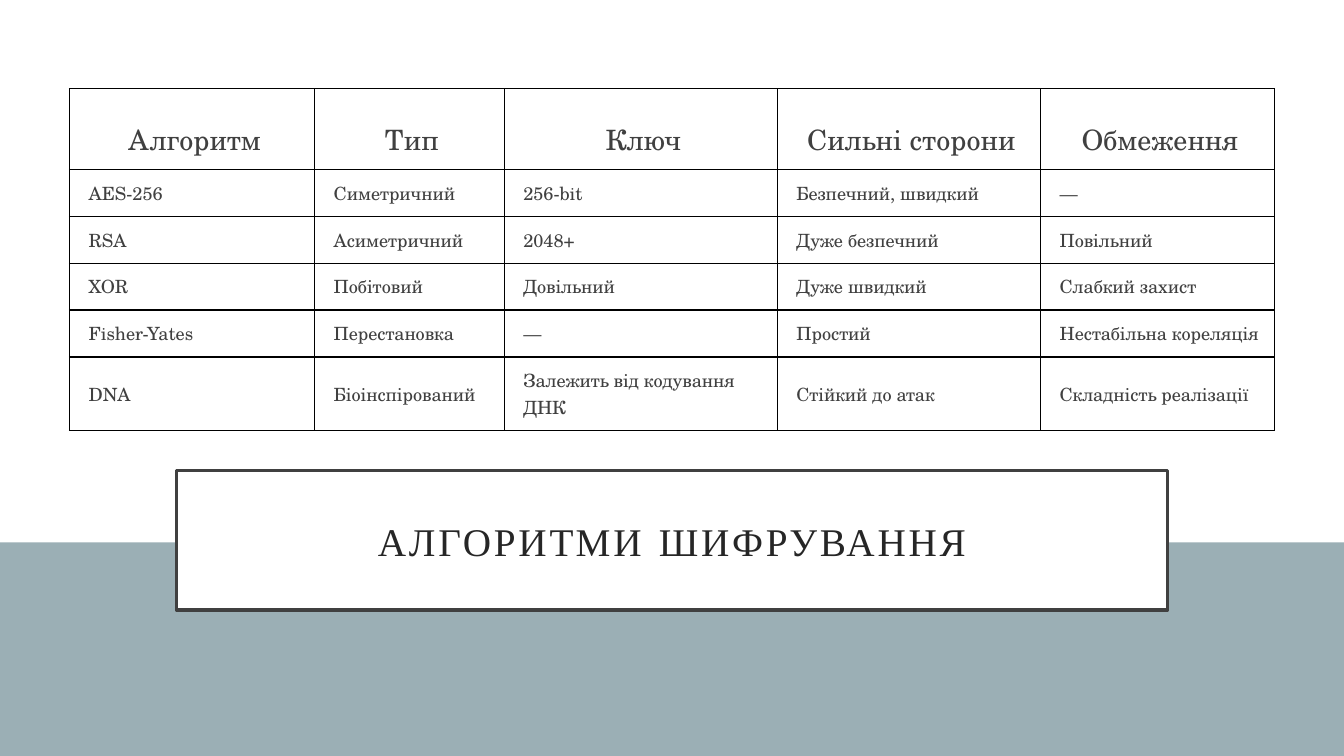
from dataclasses import dataclass

from lxml import etree
from pptx import Presentation
from pptx.dml.color import RGBColor
from pptx.enum.shapes import MSO_SHAPE
from pptx.enum.text import MSO_ANCHOR, PP_ALIGN
from pptx.oxml.ns import qn
from pptx.util import Inches, Pt

RECTANGLE = MSO_SHAPE.RECTANGLE
MIDDLE, BOTTOM = MSO_ANCHOR.MIDDLE, MSO_ANCHOR.BOTTOM
LEFT, CENTER, JUSTIFY = PP_ALIGN.LEFT, PP_ALIGN.CENTER, PP_ALIGN.JUSTIFY
TITLE_ONLY = 5


@dataclass(frozen=True)
class Theme:
    """Colours, fonts and sizes of the slide."""
    white: str = "FFFFFF"
    band: str = "9BAFB5"
    frame: str = "404040"
    title: str = "262626"
    text: str = "404040"
    border: str = "000000"
    title_font: str = "Times New Roman"
    space_font: str = "Calibri"
    table_font: str = "TeX Gyre Schola"
    title_size: int = 28
    space_size: int = 36
    header_size: int = 20
    body_size: int = 13
    title_spacing: int = 2
    frame_width: float = 2.5
    border_width: int = 1


THEME = Theme()
COLUMN_WIDTHS = (2.43, 1.88, 2.71, 2.61, 2.32)
ROW_HEIGHTS = (0.8, 0.45, 0.45, 0.45, 0.45, 0.66)
ALGORITHMS = (
    ("Алгоритм", "Тип", "Ключ", "Сильні сторони", "Обмеження"),
    ("AES-256", "Симетричний", "256-bit", "Безпечний, швидкий", "—"),
    ("RSA", "Асиметричний", "2048+", "Дуже безпечний", "Повільний"),
    ("XOR", "Побітовий", "Довільний", "Дуже швидкий", "Слабкий захист"),
    ("Fisher-Yates", "Перестановка", "—", "Простий", "Нестабільна кореляція"),
    ("DNA", "Біоінспірований", "Залежить від кодування ДНК", "Стійкий до атак",
     "Складність реалізації"),
)
LEFT_ALIGNED = {(4, 2), (5, 2)}


def color(value):
    """Turn a hex value into a colour."""
    return RGBColor.from_string(value)


def add_run(paragraph, text, font, size, ink, bold=False):
    """Add one formatted run and return it."""
    run = paragraph.add_run()
    run.text = text
    run.font.name = font
    run.font.size = Pt(size)
    run.font.bold = bold
    run.font.color.rgb = color(ink)
    return run


def add_band(slide, left, top, width, height):
    """Draw the coloured band behind everything else."""
    band = slide.shapes.add_shape(
        RECTANGLE, Inches(left), Inches(top), Inches(width), Inches(height))
    band.shadow.inherit = False
    band.fill.solid()
    band.fill.fore_color.rgb = color(THEME.band)
    band.line.fill.background()
    slide.shapes.title.element.addprevious(band.element)


def place_title(slide, left, top, width, height):
    """Frame the title placeholder and write its spaced-out text."""
    title = slide.shapes.title
    title.left, title.top = Inches(left), Inches(top)
    title.width, title.height = Inches(width), Inches(height)
    title.fill.solid()
    title.fill.fore_color.rgb = color(THEME.white)
    title.line.color.rgb = color(THEME.frame)
    title.line.width = Pt(THEME.frame_width)
    frame = title.text_frame
    frame.word_wrap = True
    frame.vertical_anchor = MIDDLE
    frame.margin_left = frame.margin_right = Inches(0.3)
    frame.margin_top = frame.margin_bottom = Inches(0.2)
    paragraph = frame.paragraphs[0]
    paragraph.alignment = CENTER
    paragraph.line_spacing = 0.9
    word = (THEME.title_font, THEME.title_size, False)
    space = (THEME.space_font, THEME.space_size, True)
    for text, (font, size, bold) in (
            ("АЛГОРИТМИ", word), (" ", space), ("ШИФРУВАННЯ", word)):
        run = add_run(paragraph, text, font, size, THEME.title, bold)
        run.font.element.set("spc", str(THEME.title_spacing * 100)) if hasattr(
            run.font, "element") else run._r.get_or_add_rPr().set(
            "spc", str(THEME.title_spacing * 100))


def set_borders(cell):
    """Draw a thin line on each side of a cell."""
    properties = cell._tc.get_or_add_tcPr()
    for side in ("lnL", "lnR", "lnT", "lnB"):
        line = etree.SubElement(
            properties, qn(f"a:{side}"), w=str(Pt(THEME.border_width)))
        fill = etree.SubElement(line, qn("a:solidFill"))
        etree.SubElement(fill, qn("a:srgbClr"), val=THEME.border)


def fill_cell(cell, text, size, alignment, anchor):
    """Format one table cell and write its text."""
    set_borders(cell)
    cell.fill.background()
    cell.vertical_anchor = anchor
    cell.margin_left, cell.margin_right = Inches(0.19), Inches(0.14)
    cell.margin_top = cell.margin_bottom = Inches(0.1)
    paragraph = cell.text_frame.paragraphs[0]
    paragraph.alignment = alignment
    add_run(paragraph, text, THEME.table_font, size, THEME.text)


def add_algorithm_table(slide, left, top, width, height):
    """Build the comparison table of algorithms."""
    table = slide.shapes.add_table(
        len(ROW_HEIGHTS), len(COLUMN_WIDTHS),
        Inches(left), Inches(top), Inches(width), Inches(height)).table
    table.first_row = table.horz_banding = False
    for column, column_width in zip(table.columns, COLUMN_WIDTHS):
        column.width = Inches(column_width)
    for row, row_height in zip(table.rows, ROW_HEIGHTS):
        row.height = Inches(row_height)
    for row_index, values in enumerate(ALGORITHMS):
        for column_index, text in enumerate(values):
            cell = table.cell(row_index, column_index)
            if row_index == 0:
                fill_cell(cell, text, THEME.header_size, CENTER, BOTTOM)
            else:
                position = (row_index, column_index)
                alignment = LEFT if position in LEFT_ALIGNED else JUSTIFY
                fill_cell(cell, text, THEME.body_size, alignment, MIDDLE)


def main():
    """Build and save the presentation."""
    presentation = Presentation()
    presentation.slide_width = Inches(13.33)
    presentation.slide_height = Inches(7.5)
    slide = presentation.slides.add_slide(presentation.slide_layouts[TITLE_ONLY])
    slide.background.fill.solid()
    slide.background.fill.fore_color.rgb = color(THEME.white)
    add_band(slide, 0, 5.38, 13.33, 2.12)
    place_title(slide, 1.75, 4.67, 9.83, 1.38)
    add_algorithm_table(slide, 0.69, 0.88, sum(COLUMN_WIDTHS), sum(ROW_HEIGHTS))
    presentation.save("out.pptx")


if __name__ == "__main__":
    main()
